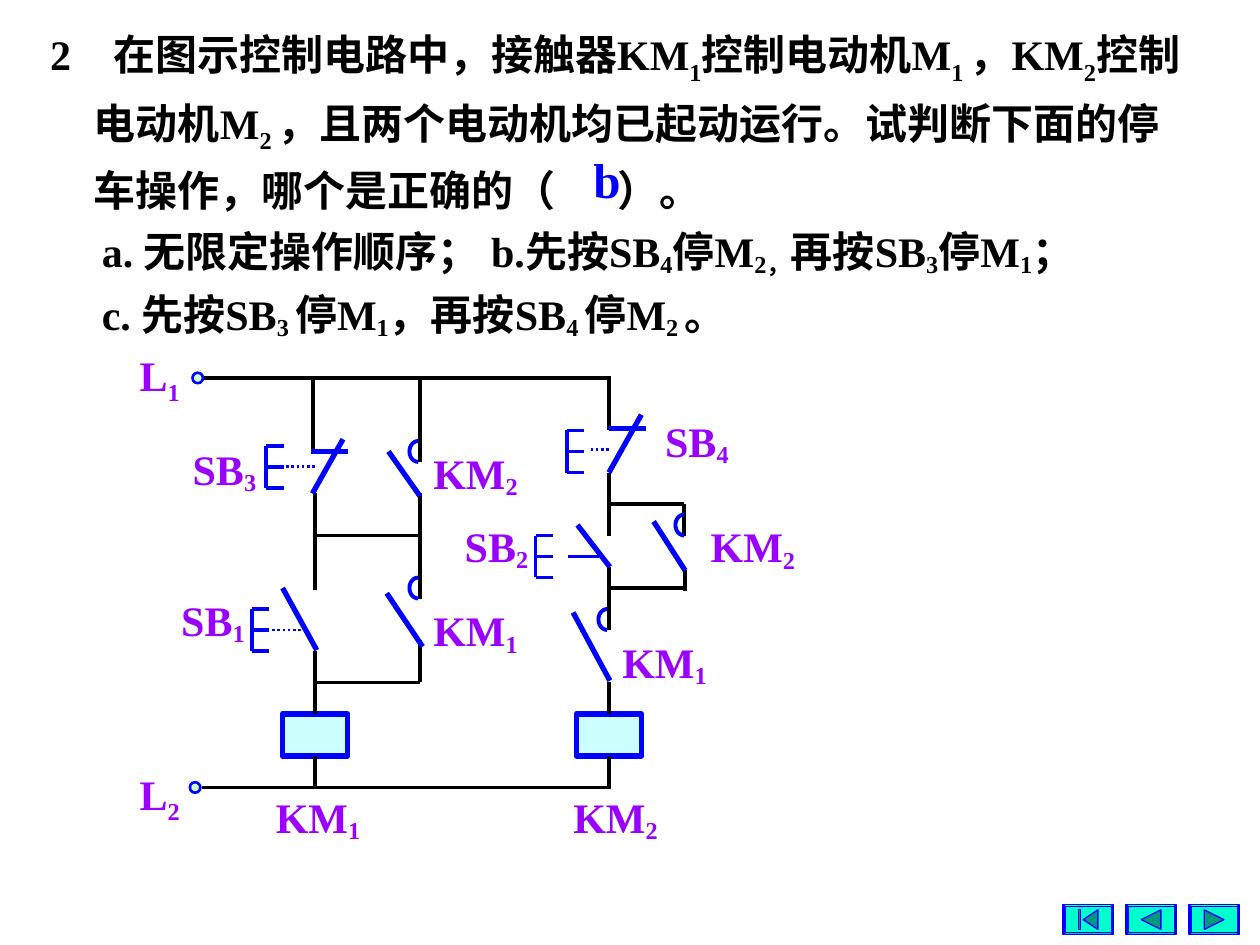
"""Build a quiz slide about stopping two motors with a contactor control circuit."""
from math import cos, pi, sin

from lxml.etree import SubElement
from pptx import Presentation
from pptx.dml.color import RGBColor
from pptx.enum.dml import MSO_LINE
from pptx.enum.shapes import MSO_CONNECTOR, MSO_SHAPE
from pptx.enum.text import MSO_ANCHOR, PP_ALIGN
from pptx.oxml.ns import qn
from pptx.util import Pt

rgb = RGBColor.from_string
BLACK, BLUE, PURPLE = "000000", "0000FF", "9900FF"


def style(shape, line, width, fill=None):
    shape.line.color.rgb = rgb(line)
    shape.line.width = Pt(width)
    if fill:
        shape.fill.solid()
        shape.fill.fore_color.rgb = rgb(fill)
    SubElement(shape._element.spPr, qn("a:effectLst"))


def write(paragraph, marked_text, color, baseline, size=24):
    for index, part in enumerate(marked_text.split("_")):
        run = paragraph.add_run()
        run.text = part
        run.font.name = "Times New Roman"
        run.font.size = Pt(size)
        run.font.bold = True
        run.font.color.rgb = rgb(color)
        if index % 2:
            run._r.get_or_add_rPr().set("baseline", str(baseline * 1000))


presentation = Presentation()
presentation.slide_width = Pt(720)
presentation.slide_height = Pt(540)
slide = presentation.slides.add_slide(presentation.slide_layouts[6])
shapes = slide.shapes

question_lines = [
    (0, [29.5], -25, "2\t在图示控制电路中，接触器KM_1_控制电动机M_1 _，KM_2_控制"),
    (25, [], -25, "电动机M_2 _，且两个电动机均已起动运行。试判断下面的停"),
    (25, [305.5], -25, "车操作，哪个是正确的（\t）。"),
    (29.5, [274], -14, "a. 无限定操作顺序；\tb.先按SB_4_停M_2，_再按SB_3_停M_1_；"),
    (29.5, [], -14, "c. 先按SB_3 _停M_1_，再按SB_4 _停M_2 _。"),
]
question = shapes.add_textbox(Pt(21.6), Pt(6), Pt(698), Pt(193)).text_frame
question.word_wrap = True
question.vertical_anchor = MSO_ANCHOR.MIDDLE
for index, (indent, tab_stops, baseline, text) in enumerate(question_lines):
    paragraph = question.add_paragraph() if index else question.paragraphs[0]
    paragraph.line_spacing = 1.2
    properties = paragraph._p.get_or_add_pPr()
    properties.set("marL", "0")
    properties.set("indent", str(Pt(indent)))
    if tab_stops:
        tab_list = SubElement(properties, qn("a:tabLst"))
        for stop in tab_stops:
            SubElement(tab_list, qn("a:tab"), pos=str(Pt(stop)), algn="l")
    write(paragraph, text, BLACK, baseline)

wires = [
    (114.5, 216, 349, 216), (115.5, 450, 349, 450),
    (178.75, 216, 178.75, 258), (180, 282, 180, 337),
    (240, 216, 240, 264), (240, 282, 240, 306), (180, 306, 240, 306),
    (240, 306, 240, 342), (240, 366, 240, 390), (180, 390, 240, 390),
    (348, 216, 348, 246), (348, 270, 348, 306), (348, 324, 348, 360),
    (348, 288, 391, 288), (391, 288, 391, 306),
    (391.5, 325.5, 391.5, 337.5), (348, 336, 391.5, 336),
]
switch_blades = [
    (161.5, 336, 181, 371.5), (373.5, 298, 391.5, 326), (330, 300, 348.5, 324),
    (196, 251, 178.5, 282), (222, 258, 240, 283.5), (221, 339, 241.5, 369.5),
    (327.5, 350, 348.5, 389), (366.5, 237, 348, 270),
    (348, 245, 369, 245), (178, 258, 199, 258),
]
dotted_links = [(163.5, 266.5, 181, 266.5), (337.5, 257, 349, 257), (155.5, 360, 173, 360)]
button_parts = [(324.5, 318, 342, 318)]
for left, top in [(144, 348), (324, 246), (152, 255), (306, 306)]:
    button_parts.append((left, top, left, top + 24))
    button_parts += [(left + 10, top + drop, left, top + drop) for drop in (0, 12, 24)]

for lines, color, width, dash in [
    (wires, BLACK, 2.25, None),
    (switch_blades, BLUE, 3, None),
    (button_parts, BLUE, 2.25, None),
    (dotted_links, BLUE, 1.5, MSO_LINE.ROUND_DOT),
]:
    for ends in lines:
        connector = shapes.add_connector(MSO_CONNECTOR.STRAIGHT, *map(Pt, ends))
        style(connector, color, width)
        if dash:
            connector.line.dash_style = dash

for x, wire_top in [(180, 372), (348, 390)]:
    coil = shapes.add_shape(MSO_SHAPE.RECTANGLE, Pt(x - 18.75), Pt(408), Pt(37.5), Pt(24))
    style(coil, BLUE, 3, "CCFFFF")
    upper_wire = shapes.add_connector(MSO_CONNECTOR.STRAIGHT, Pt(x), Pt(wire_top), Pt(x), Pt(408))
    upper_wire.end_connect(coil, 0)
    lower_wire = shapes.add_connector(MSO_CONNECTOR.STRAIGHT, Pt(x), Pt(432), Pt(x), Pt(450))
    lower_wire.begin_connect(coil, 2)
    for wire in (upper_wire, lower_wire):
        style(wire, BLACK, 2.25)

for left, top in [(234, 252), (234, 330), (342, 348), (386, 294)]:
    angles = [pi * step / 12 for step in range(13)]
    points = [(Pt(left + 5 - 5 * sin(angle)), Pt(top + 6 - 6 * cos(angle))) for angle in angles]
    builder = shapes.build_freeform(*points[0])
    builder.add_line_segments(points[1:], close=False)
    contact_arc = builder.convert_to_shape()
    contact_arc.fill.background()
    style(contact_arc, BLUE, 2.25)

for left, top in [(110, 213), (108.5, 447)]:
    terminal = shapes.add_shape(MSO_SHAPE.OVAL, Pt(left), Pt(top), Pt(6), Pt(6))
    style(terminal, BLUE, 1.5, "CCFFCC")

label_formats = {"K": (62.5, 38, -16), "S": (50.5, 37.5, -14), "L": (37.5, 40, -25), "b": (29.5, 41, 0)}
for text, left, top in [
    ("KM_1", 150.5, 448.5), ("KM_2", 320.5, 448.5), ("SB_1", 96.5, 336), ("SB_3", 103, 250),
    ("KM_1", 240.5, 342), ("KM_1", 348.5, 360), ("SB_2", 258.5, 294), ("KM_2", 240.5, 252),
    ("SB_4", 373, 234), ("KM_2", 399, 294), ("L_1", 72.5, 196), ("L_2", 72.5, 435.5),
    ("b", 332, 81.5),
]:
    width, height, baseline = label_formats[text[0]]
    label = shapes.add_textbox(Pt(left), Pt(top), Pt(width), Pt(height)).text_frame
    label.word_wrap = False
    paragraph = label.paragraphs[0]
    if text[0] in "Lb":
        label.vertical_anchor = MSO_ANCHOR.MIDDLE
        paragraph.alignment = PP_ALIGN.CENTER
    is_answer = text == "b"
    write(paragraph, text, BLUE if is_answer else PURPLE, baseline, 28 if is_answer else 24)

for index, symbol in enumerate([
    MSO_SHAPE.ACTION_BUTTON_BEGINNING,
    MSO_SHAPE.ACTION_BUTTON_BACK_OR_PREVIOUS,
    MSO_SHAPE.ACTION_BUTTON_FORWARD_OR_NEXT,
]):
    left, top = 607.5 + 36 * index, 517
    frame = shapes.add_shape(MSO_SHAPE.BEVEL, Pt(left), Pt(top), Pt(28.5), Pt(17))
    frame.adjustments[0] = 0.06
    button = shapes.add_shape(symbol, Pt(left + 1), Pt(top + 1), Pt(26.5), Pt(15))
    for part in (frame, button):
        style(part, BLUE, 0.75, "00FFCC")

presentation.save("out.pptx")
